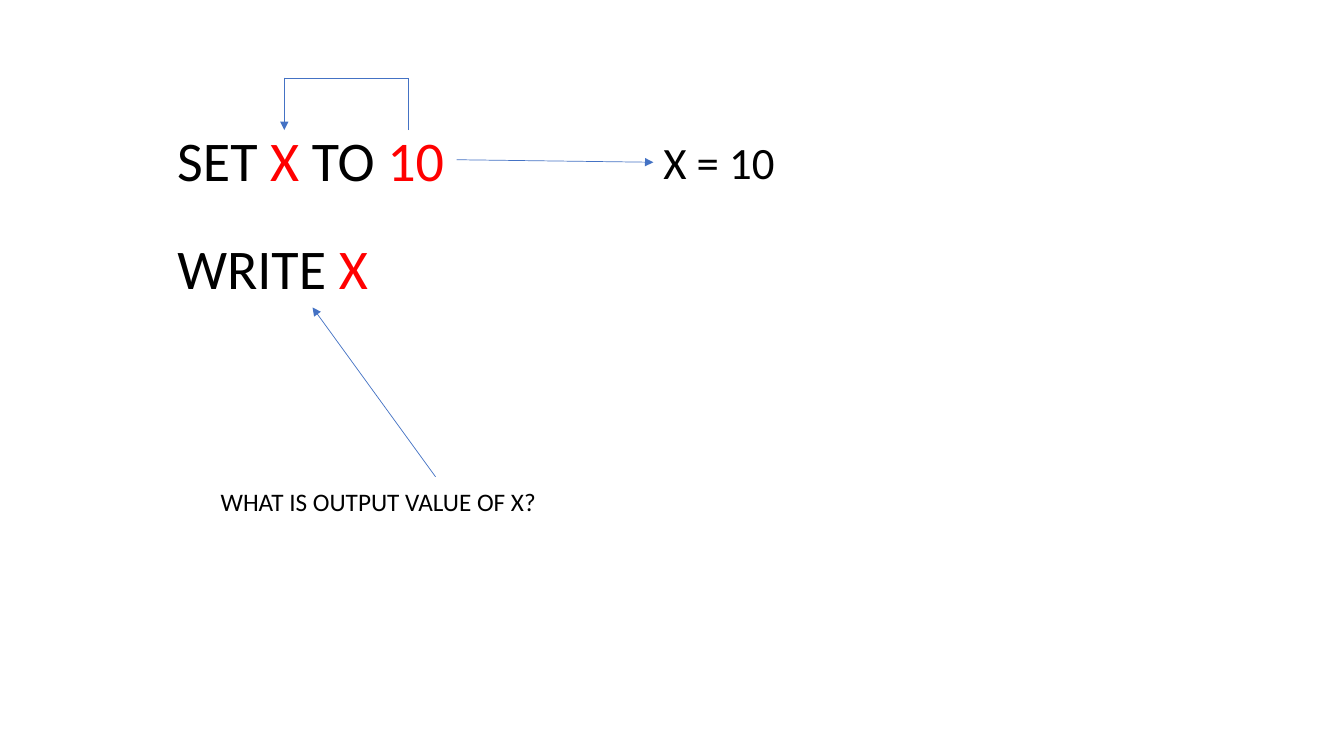
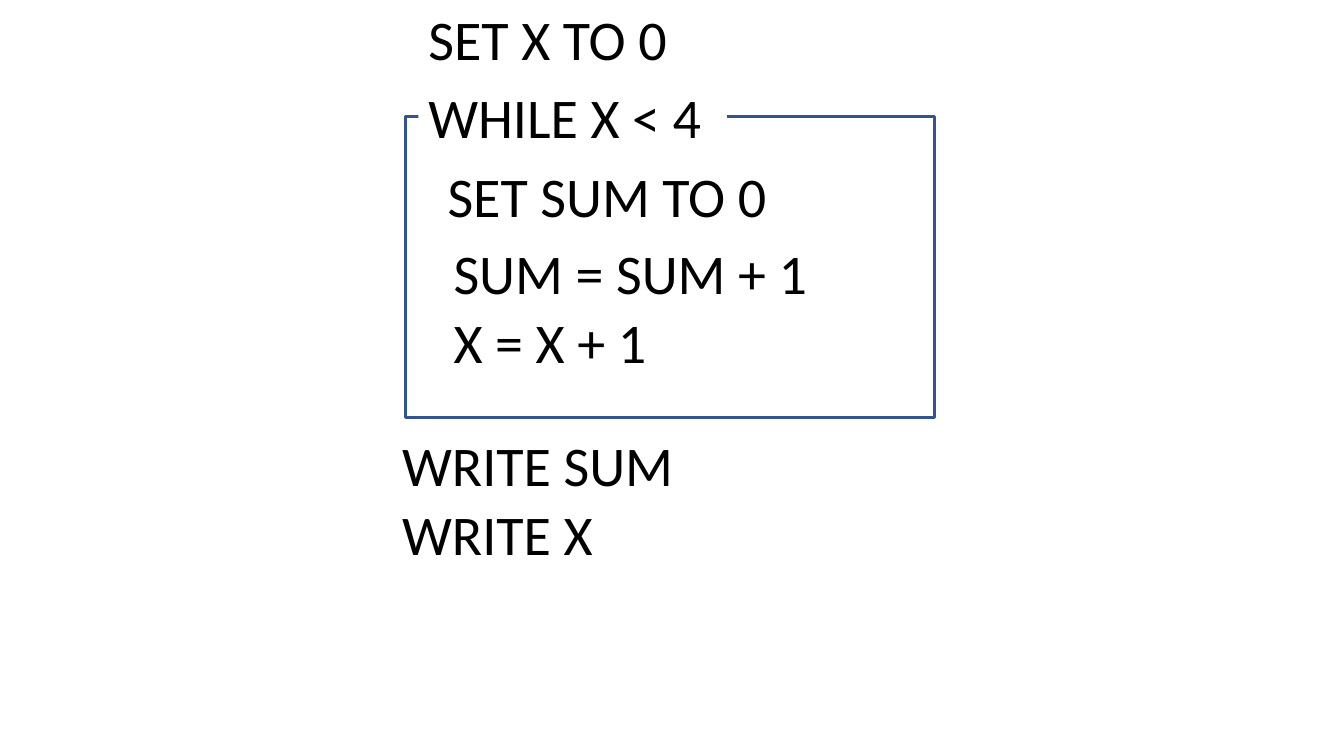
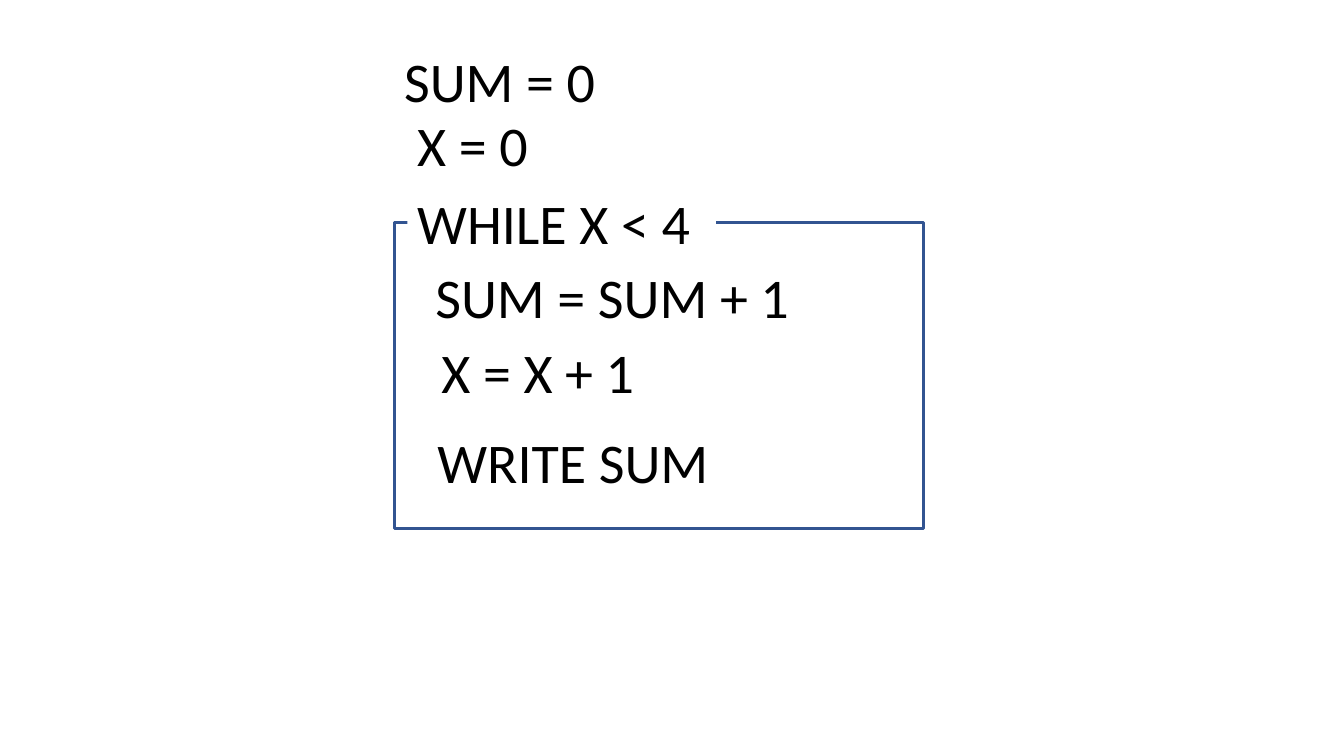
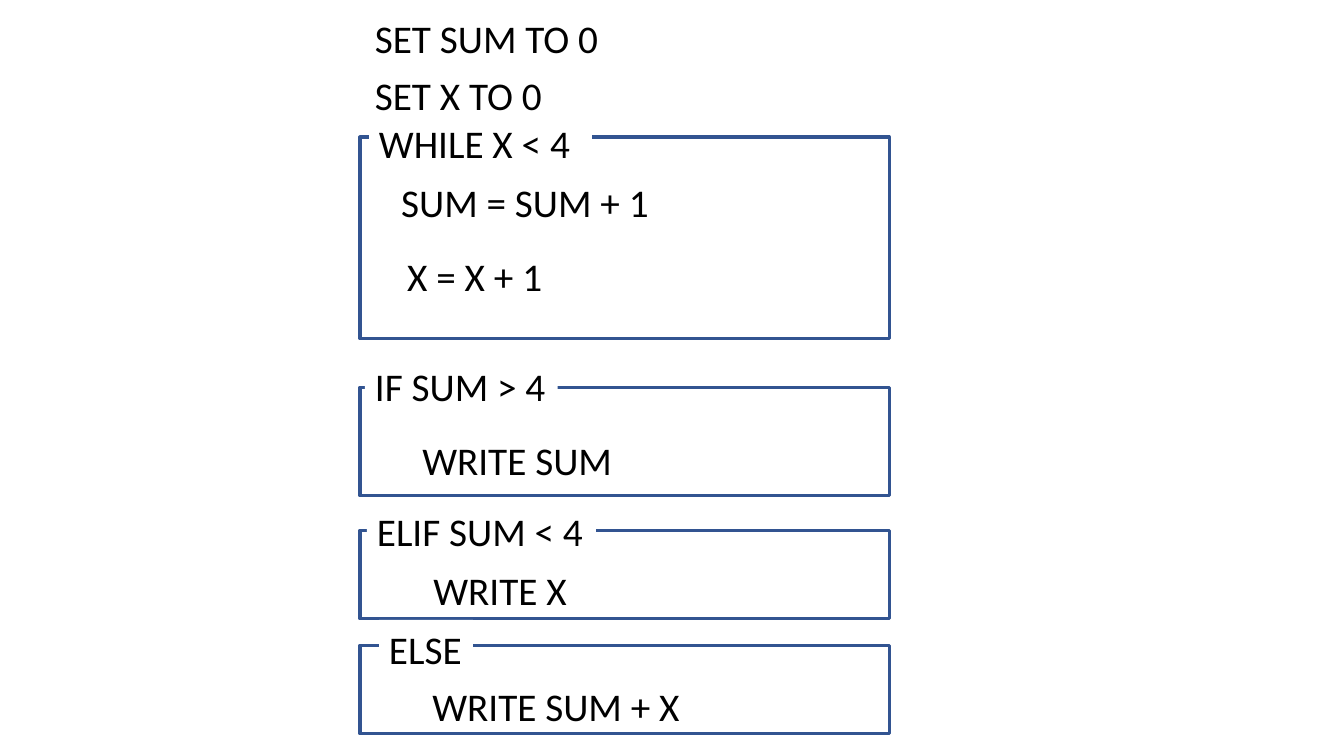
"""Build four slides of pseudocode about assignment, loops and conditions."""
from lxml import etree
from pptx import Presentation
from pptx import util as u
from pptx.dml.color import RGBColor
from pptx.enum import shapes, text
from pptx.oxml.ns import qn

BLACK, RED, WHITE, BLUE, NAVY = "000000", "FF0000", "FFFFFF", "4472C4", "325491"
FONT = "Calibri"
FRAME_W = 5.25
BOX_H = {18: 0.4, 28: 0.57, 32: 0.64, 40: 0.77}

ASSIGNMENT = [
    (1.66, 1.2, 2.87, 40, [("SET ", BLACK), ("X", RED), (" TO ", BLACK), ("10", RED)]),
    (6.48, 1.29, 1.32, 32, [("X = 10", BLACK)]),
    (1.66, 2.27, 2.11, 40, [("WRITE ", BLACK), ("X", RED)]),
    (2.09, 4.78, 3.36, 18, [("WHAT IS OUTPUT VALUE OF X?", BLACK)]),
]
ARROWS = [
    ((4.05, 1.29), (4.05, 0.77), False),
    ((4.05, 0.78), (2.83, 0.78), False),
    ((2.82, 0.77), (2.82, 1.29), True),
    ((4.32, 4.73), (3.1, 3.05), True),
]
BLOCK_SLIDES = [
    dict(
        size=40,
        frames=[(4.02, 1.16, 2.98)],
        headers=[(4.15, 0.77, 3.06, "WHILE X < 4")],
        steps=[
            (4.15, 0, 2.72, "SET X TO 0"),
            (4.34, 1.55, 3.52, "SET SUM TO 0"),
            (4.4, 2.32, 3.87, "SUM = SUM + 1"),
            (4.4, 3, 2.26, "X = X + 1"),
            (3.89, 4.22, 2.92, "WRITE SUM"),
            (3.89, 4.91, 2.11, "WRITE X"),
        ],
    ),
    dict(
        size=40,
        frames=[(3.91, 2.21, 3.03)],
        headers=[(4.04, 1.82, 3.06, "WHILE X < 4")],
        steps=[
            (3.91, 0.41, 2.24, "SUM = 0"),
            (4.04, 1.05, 1.43, "X = 0"),
            (4.22, 2.56, 3.87, "SUM = SUM + 1"),
            (4.28, 3.3, 2.26, "X = X + 1"),
            (4.24, 4.19, 2.92, "WRITE SUM"),
        ],
    ),
    dict(
        size=28,
        frames=[(3.57, 1.36, 2), (3.57, 3.84, 1.08), (3.57, 5.26, 0.88), (3.57, 6.4, 0.88)],
        headers=[
            (3.66, 1.13, 2.21, "WHILE X < 4"),
            (3.62, 3.55, 1.91, "IF SUM > 4"),
            (3.64, 4.98, 2.27, "ELIF SUM < 4"),
            (3.76, 6.15, 0.93, "ELSE"),
        ],
        steps=[
            (3.62, 0.09, 2.53, "SET SUM TO 0"),
            (3.62, 0.66, 1.96, "SET X TO 0"),
            (3.88, 1.72, 2.78, "SUM = SUM + 1"),
            (3.94, 2.45, 1.65, "X = X + 1"),
            (4.09, 4.28, 2.1, "WRITE SUM"),
            (4.2, 5.57, 1.54, "WRITE X"),
            (4.19, 6.72, 2.68, "WRITE SUM + X"),
        ],
    ),
]


def rgb(value):
    return RGBColor.from_string(value)


def inches(*values):
    return [u.Inches(v) for v in values]


def add_text(s, left, top, width, size, runs, fill=None):
    sp = s.shapes.add_textbox(*inches(left, top, width, BOX_H[size]))
    tf = sp.text_frame
    frame = dict(word_wrap=False, auto_size=text.MSO_AUTO_SIZE.SHAPE_TO_FIT_TEXT)
    if fill:
        sp.fill.solid()
        sp.fill.fore_color.rgb = rgb(fill)
        frame = dict(word_wrap=True, auto_size=text.MSO_AUTO_SIZE.NONE, margin_right=0)
    for name, value in frame.items():
        setattr(tf, name, value)
    p = tf.paragraphs[0]
    for words, color in runs:
        r = p.add_run()
        r.text = words
        for name, value in dict(name=FONT, size=u.Pt(size)).items():
            setattr(r.font, name, value)
        r.font.color.rgb = rgb(color)
    return sp


def add_frame(s, left, top, height):
    sp = s.shapes.add_shape(shapes.MSO_SHAPE.RECTANGLE, *inches(left, top, FRAME_W, height))
    sp.shadow.inherit = False
    sp.fill.background()
    sp.line.color.rgb = rgb(NAVY)
    sp.line.width = u.Pt(2.25)


def add_line(s, start, end, arrow):
    line = s.shapes.add_connector(shapes.MSO_CONNECTOR.STRAIGHT, *inches(*start, *end))
    line.line.color.rgb = rgb(BLUE)
    line.line.width = u.Pt(0.5)
    if arrow:
        etree.SubElement(line.line._get_or_add_ln(), qn("a:tailEnd"), type="triangle")
    etree.SubElement(line._element.spPr, qn("a:effectLst"))
    return line


def build_assignment(s):
    statement, result = [add_text(s, *row) for row in ASSIGNMENT][:2]
    for row in ARROWS:
        add_line(s, *row)
    link = add_line(s, (4.53, 1.59), (6.48, 1.61), True)
    link.begin_connect(statement, 3)
    link.end_connect(result, 1)


def build_blocks(s, size, frames, headers, steps):
    for row in frames:
        add_frame(s, *row)
    for rows, fill in ((headers, WHITE), (steps, None)):
        for left, top, width, words in rows:
            add_text(s, left, top, width, size, [(words, BLACK)], fill)


def main():
    prs = Presentation()
    prs.slide_width, prs.slide_height = inches(13.33, 7.5)
    blank = prs.slide_layouts[6]
    build_assignment(prs.slides.add_slide(blank))
    for blocks in BLOCK_SLIDES:
        build_blocks(prs.slides.add_slide(blank), **blocks)
    prs.save("out.pptx")


if __name__ == "__main__":
    main()
